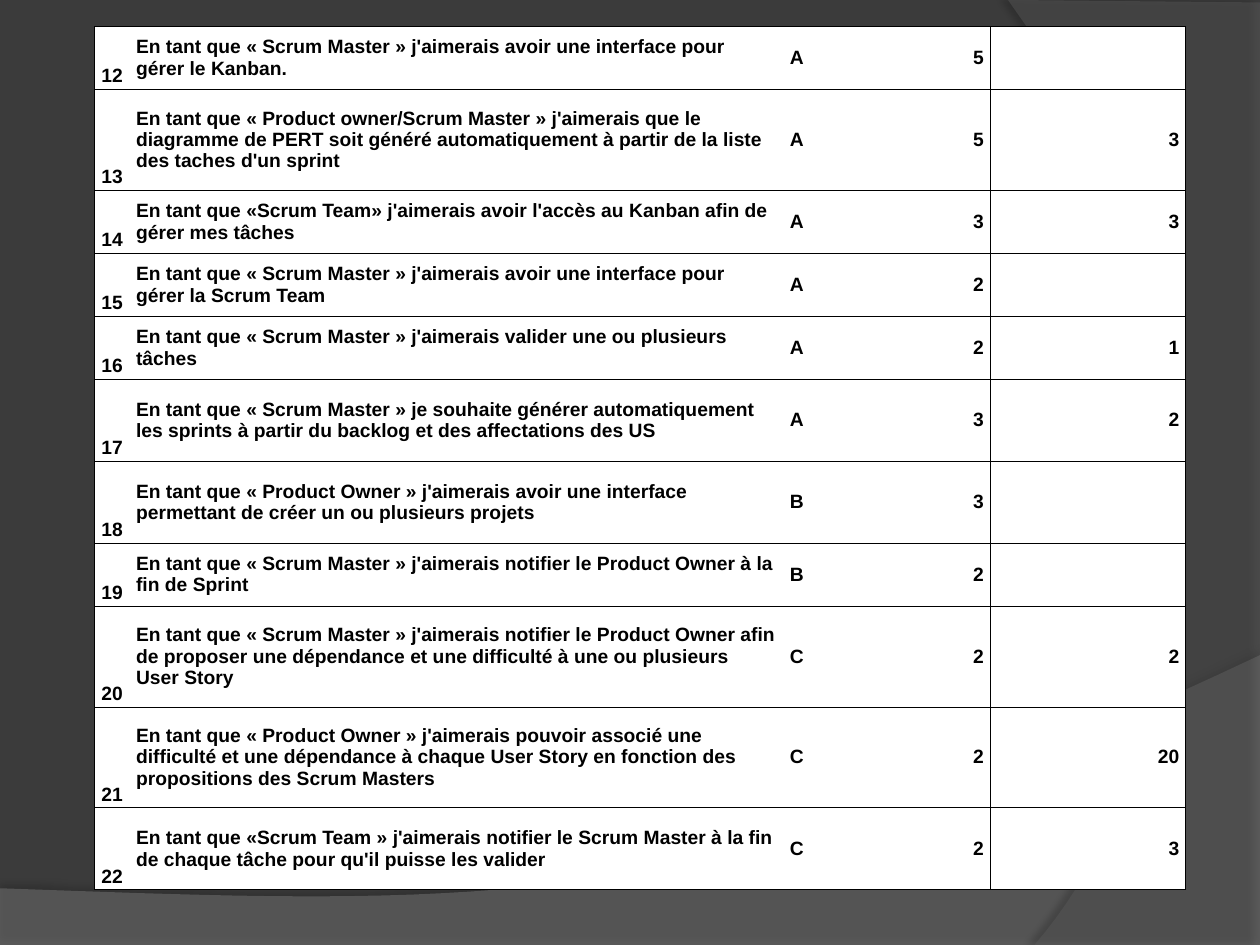
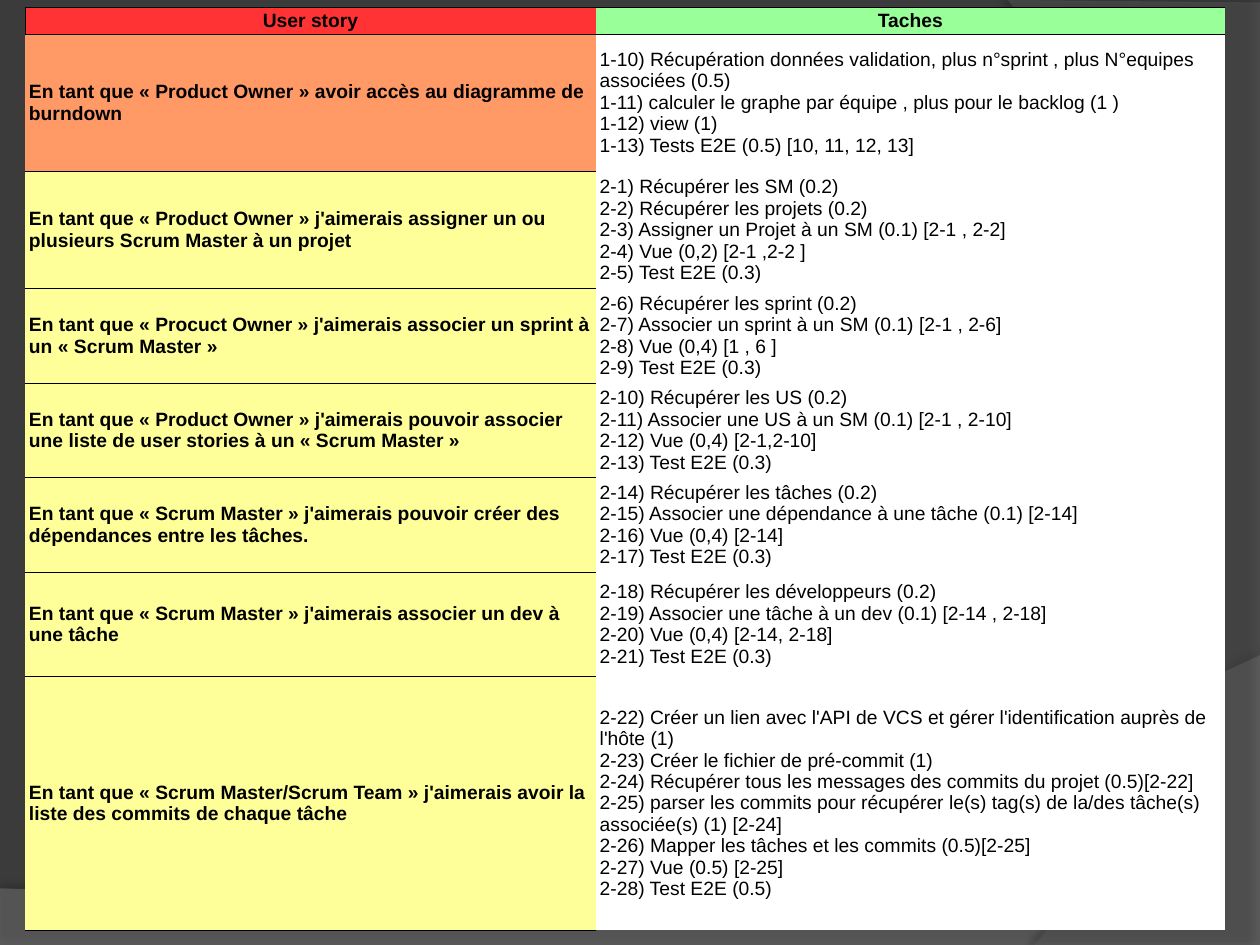
from dataclasses import dataclass

from lxml.etree import SubElement
from pptx import Presentation
from pptx.dml.color import RGBColor
from pptx.enum.text import MSO_ANCHOR, PP_ALIGN
from pptx.oxml.ns import qn
from pptx.presentation import Presentation as Deck
from pptx.slide import Slide
from pptx.table import _Cell
from pptx.util import Inches, Pt

BACKGROUND = RGBColor(0x3B, 0x3B, 0x3B)
SWEEP_GREY = RGBColor(0x7F, 0x7F, 0x7F)
ARC_GREY = RGBColor(0x5E, 0x5E, 0x5E)
BLACK = RGBColor(0, 0, 0)
WHITE = RGBColor(0xFF, 0xFF, 0xFF)
RED = RGBColor(0xFF, 0x33, 0x33)
GREEN = RGBColor(0x99, 0xFF, 0x99)
ORANGE = RGBColor(0xFF, 0x99, 0x66)
YELLOW = RGBColor(0xFF, 0xFF, 0x99)

FONT = {"name": "Arial", "size": Pt(11)}
BORDER_WIDTH = Pt(0.38)
CURVE_STEPS = 40
BLANK_LAYOUT = 6

Point = tuple[float, float]


@dataclass(frozen=True)
class Band:
    """Background band: straight corners, closed by a curve from the last one."""
    corners: tuple[Point, ...]
    controls: tuple[Point, Point]
    curve_end: Point
    color: RGBColor
    opacity: int
    shadow_opacity: int
    shadow_distance: float
    shadow_angle: int


@dataclass(frozen=True)
class CellStyle:
    fill: RGBColor = WHITE
    bold: bool = True
    align: PP_ALIGN = PP_ALIGN.LEFT
    anchor: MSO_ANCHOR = MSO_ANCHOR.MIDDLE
    borders: str = "TB"


@dataclass(frozen=True)
class Grid:
    left: float
    top: float
    columns: tuple[float, ...]
    rows: tuple[float, ...]
    side_margin: float


@dataclass(frozen=True)
class Story:
    number: int
    wish: str
    priority: str
    difficulty: int
    dependency: str
    height: float


@dataclass(frozen=True)
class Breakdown:
    story: str
    tasks: tuple[str, ...]
    height: float
    fill: RGBColor = YELLOW


BANDS = (
    Band(((0, 7.05), (0, 7.5), (10, 7.5), (10, 5.2)), ((5.59, 7.29), (3.91, 7.19)),
         (0, 7.05), SWEEP_GREY, 45, 35, 3.5, 270),
    Band(((8, 0), (10, 0.02), (10, 7.5), (8.21, 7.5)), ((9.35, 6.19), (10.18, 3)),
         (8, 0), ARC_GREY, 40, 45, 4, 180),
)

STORIES = (
    Story(12, "En tant que « Scrum Master » j'aimerais avoir une interface pour gérer le Kanban.",
          "A", 5, "", 0.5),
    Story(13, "En tant que « Product owner/Scrum Master » j'aimerais que le diagramme de PERT "
              "soit généré automatiquement à partir de la liste des taches d'un sprint",
          "A", 5, "3", 0.8),
    Story(14, "En tant que «Scrum Team» j'aimerais avoir l'accès au Kanban afin de gérer mes tâches",
          "A", 3, "3", 0.5),
    Story(15, "En tant que « Scrum Master » j'aimerais avoir une interface pour gérer la Scrum Team",
          "A", 2, "", 0.5),
    Story(16, "En tant que « Scrum Master » j'aimerais valider une ou plusieurs tâches",
          "A", 2, "1", 0.5),
    Story(17, "En tant que « Scrum Master » je souhaite générer automatiquement les sprints "
              "à partir du backlog et des affectations des US",
          "A", 3, "2", 0.65),
    Story(18, "En tant que « Product Owner » j'aimerais avoir une interface permettant de créer "
              "un ou plusieurs projets",
          "B", 3, "", 0.65),
    Story(19, "En tant que « Scrum Master » j'aimerais notifier le Product Owner à la fin de Sprint",
          "B", 2, "", 0.5),
    Story(20, "En tant que « Scrum Master » j'aimerais notifier le Product Owner afin de proposer "
              "une dépendance et une difficulté à une ou plusieurs User Story",
          "C", 2, "2", 0.8),
    Story(21, "En tant que « Product Owner » j'aimerais pouvoir associé une difficulté et une "
              "dépendance à chaque User Story en fonction des propositions des Scrum Masters",
          "C", 2, "20", 0.8),
    Story(22, "En tant que «Scrum Team » j'aimerais notifier le Scrum Master à la fin de chaque "
              "tâche pour qu'il puisse les valider",
          "C", 2, "3", 0.65),
)

BREAKDOWNS = (
    Breakdown("En tant que « Product Owner » avoir accès au diagramme de burndown",
              ("1-10) Récupération données validation, plus n°sprint , plus N°equipes associées (0.5)",
               "1-11) calculer le graphe par équipe , plus pour le backlog (1 )",
               "1-12) view (1)",
               "1-13) Tests E2E (0.5) [10, 11, 12, 13]"), 1.09, ORANGE),
    Breakdown("En tant que « Product Owner » j'aimerais assigner un ou plusieurs Scrum Master "
              "à un projet",
              ("2-1) Récupérer les SM (0.2)",
               "2-2) Récupérer les projets (0.2)",
               "2-3) Assigner un Projet à un SM (0.1) [2-1 , 2-2]",
               "2-4) Vue (0,2) [2-1 ,2-2 ]",
               "2-5) Test E2E (0.3)"), 0.93),
    Breakdown("En tant que « Procuct Owner » j'aimerais associer un sprint à un « Scrum Master »",
              ("2-6) Récupérer les sprint (0.2)",
               "2-7) Associer un sprint à un SM (0.1) [2-1 , 2-6]",
               "2-8) Vue (0,4) [1 , 6 ]",
               "2-9) Test E2E (0.3)"), 0.75),
    Breakdown("En tant que « Product Owner » j'aimerais pouvoir associer une liste de user "
              "stories à un « Scrum Master »",
              ("2-10) Récupérer les US (0.2)",
               "2-11) Associer une US à un SM (0.1) [2-1 , 2-10]",
               "2-12) Vue (0,4) [2-1,2-10]",
               "2-13) Test E2E (0.3)"), 0.75),
    Breakdown("En tant que « Scrum Master » j'aimerais pouvoir créer des dépendances entre "
              "les tâches.",
              ("2-14) Récupérer les tâches (0.2)",
               "2-15) Associer une dépendance à une tâche (0.1) [2-14]",
               "2-16) Vue (0,4) [2-14]",
               "2-17) Test E2E (0.3)"), 0.75),
    Breakdown("En tant que « Scrum Master » j'aimerais associer un dev à une tâche",
              ("2-18) Récupérer les développeurs (0.2)",
               "2-19) Associer une tâche à un dev (0.1) [2-14 , 2-18]",
               "2-20) Vue (0,4) [2-14, 2-18]",
               "2-21) Test E2E (0.3)"), 0.83),
    Breakdown("En tant que « Scrum Master/Scrum Team » j'aimerais avoir la liste des commits "
              "de chaque tâche",
              ("2-22) Créer un lien avec l'API de VCS et gérer l'identification auprès de l'hôte (1)",
               "2-23) Créer le fichier de pré-commit (1)",
               "2-24) Récupérer tous les messages des commits du projet (0.5)[2-22]",
               "2-25) parser les commits pour récupérer le(s) tag(s) de la/des tâche(s) "
               "associée(s) (1) [2-24]",
               "2-26) Mapper les tâches et les commits (0.5)[2-25]",
               "2-27) Vue (0.5) [2-25]",
               "2-28) Test E2E (0.5)"), 2.01),
)

STORY_STYLES = (
    CellStyle(align=PP_ALIGN.CENTER, anchor=MSO_ANCHOR.BOTTOM, borders="LTB"),
    CellStyle(),
    CellStyle(),
    CellStyle(align=PP_ALIGN.RIGHT, borders="RTB"),
    CellStyle(align=PP_ALIGN.RIGHT, borders="LRTB"),
)


def curve_points(start: Point, controls: tuple[Point, Point], end: Point) -> list[Point]:
    """Points along a cubic Bézier curve, without its start."""
    points = []
    for step in range(1, CURVE_STEPS + 1):
        t = step / CURVE_STEPS
        weights = ((1 - t) ** 3, 3 * t * (1 - t) ** 2, 3 * t * t * (1 - t), t ** 3)
        points.append(tuple(sum(weight * point[axis] for weight, point
                                in zip(weights, (start, *controls, end)))
                            for axis in (0, 1)))
    return points


def add_color(parent, color: RGBColor, opacity: int) -> None:
    srgb = SubElement(parent, qn("a:srgbClr"), val=str(color))
    SubElement(srgb, qn("a:alpha"), val=str(opacity * 1000))


def draw_band(slide: Slide, band: Band) -> None:
    outline = [*band.corners, *curve_points(band.corners[-1], band.controls, band.curve_end)]
    points = [(Inches(x), Inches(y)) for x, y in outline]
    builder = slide.shapes.build_freeform(*points[0])
    builder.add_line_segments(points[1:])
    shape = builder.convert_to_shape()
    shape.line.fill.background()
    shape.fill.solid()
    shape.shadow.inherit = False
    properties = shape.fill._xPr
    solid = properties.find(qn("a:solidFill"))
    solid.clear()
    add_color(solid, band.color, band.opacity)
    shadow = SubElement(properties.find(qn("a:effectLst")), qn("a:outerShdw"),
                        blurRad=str(Pt(4)), dist=str(Pt(band.shadow_distance)),
                        dir=str(band.shadow_angle * 60000), rotWithShape="0")
    add_color(shadow, BLACK, band.shadow_opacity)


def draw_borders(cell: _Cell, sides: str) -> None:
    properties = cell._tc.get_or_add_tcPr()
    for side in "LRTB":
        line = SubElement(properties, qn(f"a:ln{side}"), w=str(BORDER_WIDTH))
        if side in sides:
            add_color(SubElement(line, qn("a:solidFill")), BLACK, 100)
        else:
            SubElement(line, qn("a:noFill"))


def fill_cell(cell: _Cell, lines: tuple[str, ...], style: CellStyle, side_margin: float) -> None:
    draw_borders(cell, style.borders)
    cell.fill.solid()
    cell.fill.fore_color.rgb = style.fill
    layout = {"margin_left": Inches(side_margin), "margin_right": Inches(side_margin),
              "margin_top": Inches(0.02), "margin_bottom": Inches(0.02),
              "vertical_anchor": style.anchor}
    for name, value in layout.items():
        setattr(cell, name, value)
    paragraph = cell.text_frame.paragraphs[0]
    paragraph.alignment = style.align
    for index, line in enumerate(lines):
        if index:
            paragraph.add_line_break()
        run = paragraph.add_run()
        run.text = line
        for name, value in {**FONT, "bold": style.bold}.items():
            setattr(run.font, name, value)
        run.font.color.rgb = BLACK
    for line_break in paragraph._p.findall(qn("a:br")):
        SubElement(line_break, qn("a:rPr"), sz=str(int(FONT["size"].pt * 100)))


def draw_table(slide: Slide, grid: Grid,
               content: list[list[tuple[tuple[str, ...], CellStyle]]]) -> None:
    frame = slide.shapes.add_table(len(grid.rows), len(grid.columns),
                                   Inches(grid.left), Inches(grid.top),
                                   Inches(sum(grid.columns)), Inches(sum(grid.rows)))
    table = frame.table
    table.first_row = table.horz_banding = False
    for column, width in zip(table.columns, grid.columns):
        column.width = Inches(width)
    for row, height, entries in zip(table.rows, grid.rows, content):
        row.height = Inches(height)
        for cell, (lines, style) in zip(row.cells, entries):
            fill_cell(cell, lines, style, grid.side_margin)


def add_banded_slide(deck: Deck) -> Slide:
    slide = deck.slides.add_slide(deck.slide_layouts[BLANK_LAYOUT])
    slide.background.fill.solid()
    slide.background.fill.fore_color.rgb = BACKGROUND
    for band in BANDS:
        draw_band(slide, band)
    return slide


def build_backlog(deck: Deck) -> None:
    content = []
    for story in STORIES:
        values = (str(story.number), story.wish, story.priority,
                  str(story.difficulty), story.dependency)
        content.append([((value,), style) for value, style in zip(values, STORY_STYLES)])
    grid = Grid(0.75, 0.21, (0.28, 5.19, 0.82, 0.82, 1.55),
                tuple(story.height for story in STORIES), 0.05)
    draw_table(add_banded_slide(deck), grid, content)


def build_sprint_tasks(deck: Deck) -> None:
    heading = {"align": PP_ALIGN.CENTER, "anchor": MSO_ANCHOR.BOTTOM}
    content = [[(("User story",), CellStyle(RED, borders="LTB", **heading)),
                (("Taches",), CellStyle(GREEN, **heading))]]
    for index, breakdown in enumerate(BREAKDOWNS):
        tasks_style = CellStyle(bold=False, borders="" if index else "T")
        content.append([((breakdown.story,), CellStyle(breakdown.fill)),
                        (breakdown.tasks, tasks_style)])
    grid = Grid(0.2, 0.06, (4.53, 4.99),
                (0.21, *(breakdown.height for breakdown in BREAKDOWNS)), 0.03)
    draw_table(add_banded_slide(deck), grid, content)


def main() -> None:
    deck = Presentation()
    deck.slide_width, deck.slide_height = Inches(10), Inches(7.5)
    build_backlog(deck)
    build_sprint_tasks(deck)
    deck.save("out.pptx")


if __name__ == "__main__":
    main()
